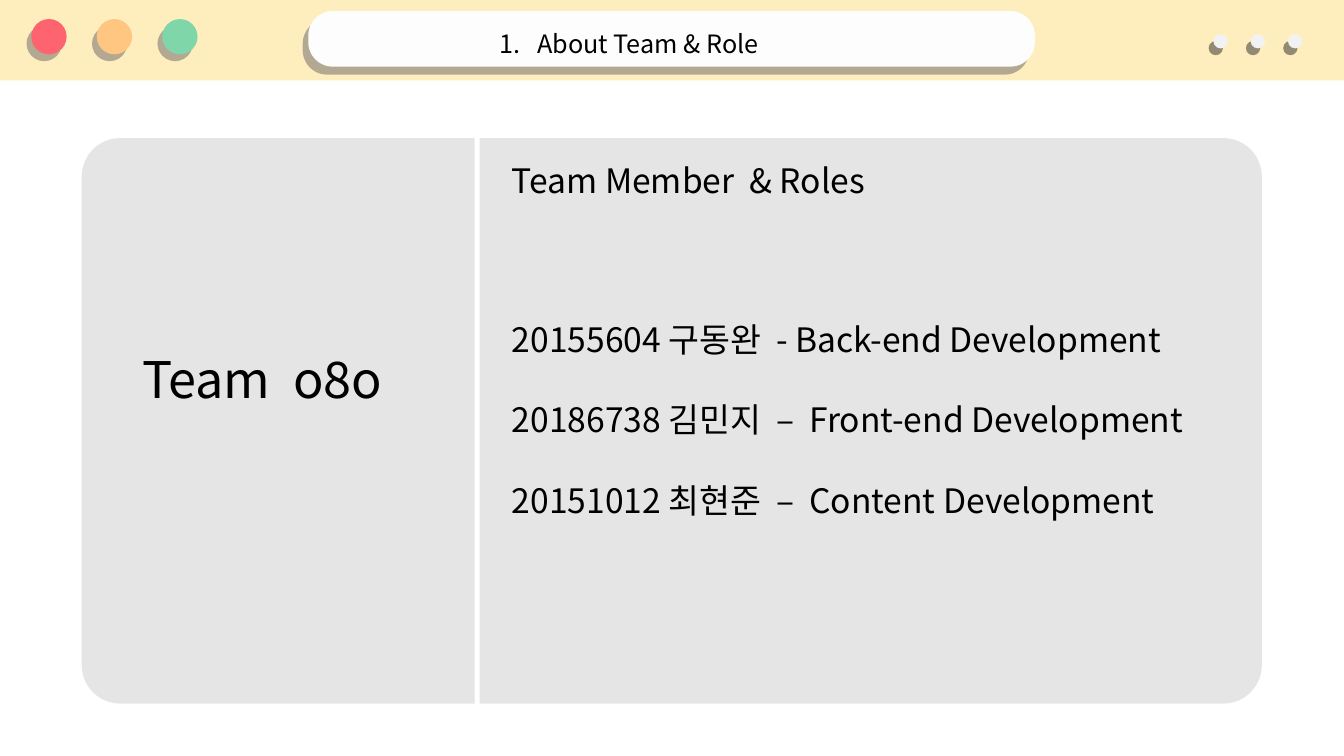
from lxml import etree
from pptx import Presentation
from pptx.dml.color import RGBColor
from pptx.enum.shapes import MSO_SHAPE
from pptx.enum.text import MSO_ANCHOR, MSO_AUTO_SIZE
from pptx.oxml.ns import qn
from pptx.util import Cm, Pt

RECT = MSO_SHAPE.RECTANGLE
ROUND = MSO_SHAPE.ROUNDED_RECTANGLE
OVAL = MSO_SHAPE.OVAL
TOP = MSO_ANCHOR.TOP
GROW = MSO_AUTO_SIZE.SHAPE_TO_FIT_TEXT

FONT = "Noto Sans CJK KR"
BLACK = RGBColor(0x00, 0x00, 0x00)
WHITE = RGBColor(0xFF, 0xFF, 0xFF)
GREY = RGBColor(0xD9, 0xD9, 0xD9)
CREAM = RGBColor(0xFF, 0xEE, 0xBD)
PEARL = RGBColor(0xF2, 0xF2, 0xF2)
SNOW = RGBColor(0xFD, 0xFD, 0xFD)
RED = RGBColor(0xFD, 0x64, 0x6F)
AMBER = RGBColor(0xFF, 0xC6, 0x82)
GREEN = RGBColor(0x7F, 0xD7, 0xA9)
DARK = RGBColor(0x3B, 0x38, 0x38)
TAUPE = RGBColor(0x76, 0x71, 0x71)

MEMBERS = [
    "20155604 구동완  - Back-end Development",
    "20186738 김민지  –  Front-end Development",
    "20151012 최현준  –  Content Development",
]


def add_tag(parent, tag, **attrs):
    return etree.SubElement(parent, qn(tag), attrs)


def add_alpha(color, percent):
    add_tag(color, "a:alpha", val=str(percent * 1000))


def add_form(slide, kind, box, fill, round_by=None):
    form = slide.shapes.add_shape(kind, *map(Cm, box))
    form.shadow.inherit = False
    form.fill.solid()
    form.fill.fore_color.rgb = fill
    form.line.fill.background()
    if round_by is not None:
        form.adjustments[0] = round_by
    return form


def add_shade(form, color, dist):
    """Cast a hard shadow down and to the left."""
    effects = form._element.spPr.find(qn("a:effectLst"))
    shade = add_tag(effects, "a:outerShdw", blurRad="0", dist=str(Pt(dist)),
                    dir=str(125 * 60000), algn="ctr", rotWithShape="0")
    add_alpha(add_tag(shade, "a:srgbClr", val=str(color)), 55)


def add_text(slide, box, lines, size, gap=0):
    frame = slide.shapes.add_textbox(*map(Cm, box)).text_frame
    frame.word_wrap = True
    frame.auto_size = GROW
    frame.vertical_anchor = TOP
    for i, line in enumerate(lines):
        para = frame.add_paragraph() if i else frame.paragraphs[0]
        if i:
            para.space_before = Pt(gap)
        run = para.add_run()
        run.text = line
        run.font.size = Pt(size)
        run.font.name = FONT
        run.font.color.rgb = BLACK
        add_tag(run.font._element, "a:ea", typeface=FONT)
    return frame


def add_number(para, indent):
    props = para._p.get_or_add_pPr()
    props.set("marL", str(Cm(indent)))
    props.set("indent", str(-Cm(indent)))
    add_tag(props, "a:buFont", typeface="+mj-lt")
    add_tag(props, "a:buAutoNum", type="arabicPeriod")


def add_dots(slide, left, top, size, step, fills, shade):
    for i, fill in enumerate(fills):
        box = (left + i * step, top, size, size)
        add_shade(add_form(slide, OVAL, box, fill), shade, 6)


def main():
    deck = Presentation()
    deck.slide_width, deck.slide_height = Cm(33.87), Cm(19.05)
    slide = deck.slides.add_slide(deck.slide_layouts[6])

    # Panel with the list of members
    panel = add_form(slide, ROUND, (2.06, 3.48, 29.74, 14.25), GREY, 0.068)
    add_alpha(panel.fill._xPr.find(qn("a:solidFill"))[0], 68)
    add_text(slide, (12.65, 7.9, 17.53, 5.38), MEMBERS, 24, 28.8)

    # Title bar
    add_form(slide, RECT, (0, 0, 33.87, 2.03), CREAM)
    add_dots(slide, 30.58, 0.86, 0.36, 0.94, [PEARL] * 3, DARK)
    pill = add_form(slide, ROUND, (7.77, 0.28, 18.31, 1.4), SNOW, 0.44)
    add_shade(pill, TAUPE, 7)
    head = add_text(slide, (12.34, 0.2, 9.19, 1.3), ["About Team & Role"], 18)
    head.paragraphs[0].line_spacing = 1.5
    add_number(head.paragraphs[0], 0.95)
    add_dots(slide, 0.79, 0.48, 0.89, 1.65, [RED, AMBER, GREEN], TAUPE)

    # Team name, roles title and divider
    add_text(slide, (3.33, 8.64, 12.45, 1.8), ["Team  o8o"], 36)
    add_text(slide, (12.65, 3.91, 16.94, 1.27), ["Team Member  & Roles"], 24)
    add_form(slide, RECT, (11.96, 3.25, 0.13, 14.5), WHITE)

    deck.save("out.pptx")


if __name__ == "__main__":
    main()
